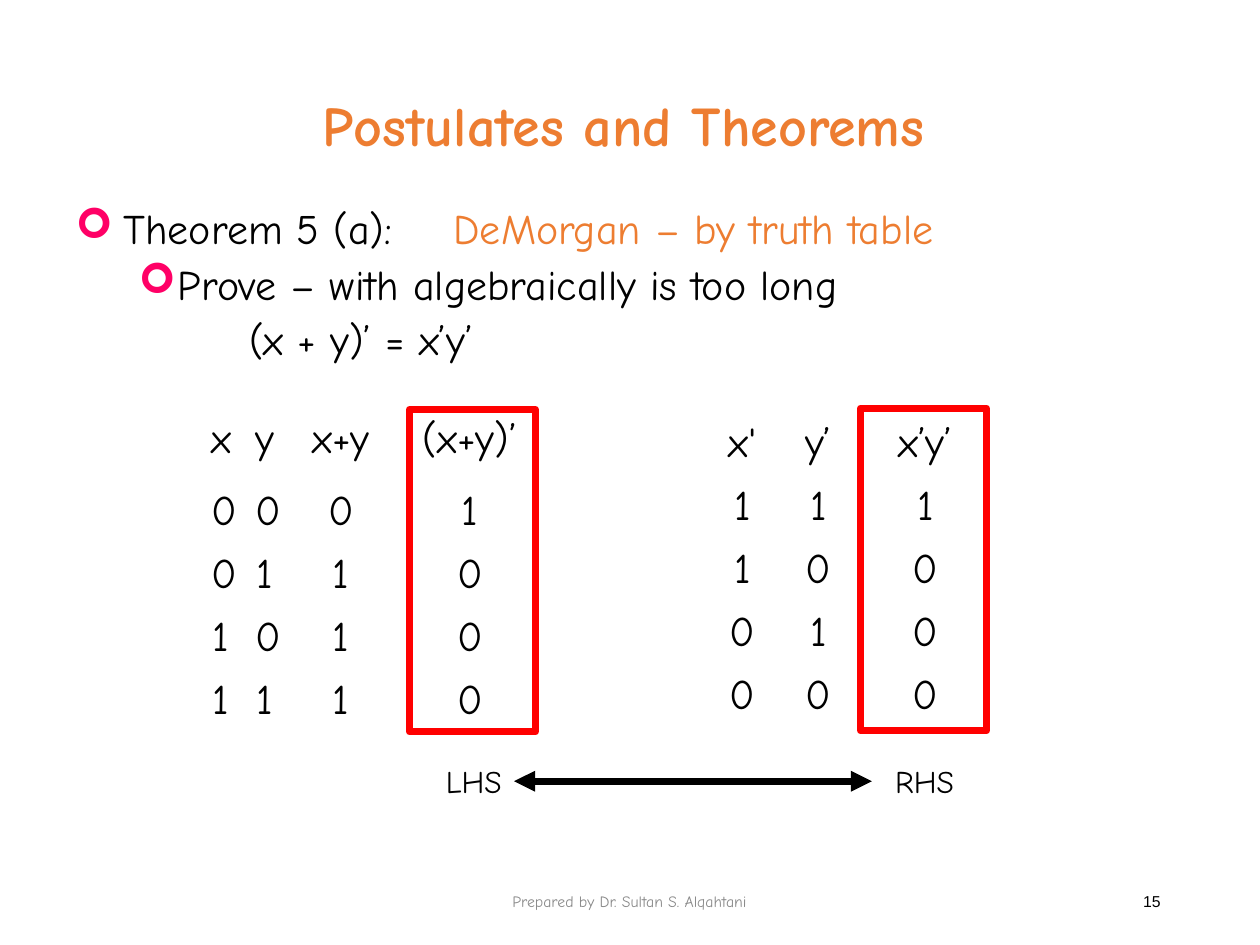
"""Build the truth-table proof slide for DeMorgan's theorem."""
from dataclasses import dataclass

from lxml.etree import SubElement as Sub
from pptx import Presentation as Deck
from pptx.dml.color import RGBColor as Rgb
from pptx.enum.shapes import MSO_CONNECTOR as Conn, MSO_SHAPE as Kind
from pptx.enum.text import MSO_ANCHOR as Anchor, MSO_AUTO_SIZE as Fit, PP_ALIGN as Align
from pptx.oxml.ns import qn
from pptx.util import Inches, Pt

FONT = "Comic Neue"
HUES = {"text": "000000", "accent": "ED7D31", "bullet": "FF0066",
        "frame": "FF0000", "foot": "898989"}


@dataclass
class Box:
    left: float
    top: float
    width: float
    height: float

    def dims(self) -> tuple:
        return tuple(Inches(n) for n in (self.left, self.top, self.width, self.height))


@dataclass
class Grid:
    left: float
    top: float
    cols: list[float]
    rows: list[float]
    cells: list[list[str]]


@dataclass
class Label:
    text: str
    box: Box
    size: int
    align: Align
    font: str = FONT
    hue: str = "text"


@dataclass
class Line:
    runs: list[tuple[str, str]]
    level: int
    left: float
    hang: float
    tab: int
    mark: str = ""


def style(para, size: int, hue: str = "text", font: str = FONT, bold: bool = False) -> None:
    para.font.size, para.font.name, para.font.bold = Pt(size), font, bold
    para.font.color.rgb = Rgb.from_string(HUES[hue])


def place(shape, box: Box) -> None:
    shape.left, shape.top, shape.width, shape.height = box.dims()


def add_label(slide, item: Label, anchor: Anchor = Anchor.TOP):
    shape = slide.shapes.add_textbox(*item.box.dims())
    frame = shape.text_frame
    frame.word_wrap, frame.vertical_anchor = True, anchor
    para = frame.paragraphs[0]
    para.text, para.alignment = item.text, item.align
    style(para, item.size, item.hue, item.font)
    return shape


def add_line(para, line: Line) -> None:
    para.level, para.line_spacing, para.space_before = line.level, 0.9, Pt(6)
    para.alignment = Align.LEFT
    props = para._p.get_or_add_pPr()
    props.set("marL", str(Inches(line.left)))
    props.set("indent", str(-Inches(line.hang)))
    if line.mark:
        hue = Sub(props, qn("a:buClr"))
        Sub(hue, qn("a:srgbClr"), val=HUES["bullet"])
        Sub(props, qn("a:buFont"), typeface="Wingdings")
        Sub(props, qn("a:buChar"), char=line.mark)
    else:
        Sub(props, qn("a:buNone"))
    tabs = Sub(props, qn("a:tabLst"))
    for n in range(line.tab, line.tab + 8):
        Sub(tabs, qn("a:tab"), pos=str(Inches(n)), algn="l")
    style(para, 24)
    for text, hue in line.runs:
        run = para.add_run()
        run.text = text
        run.font.color.rgb = Rgb.from_string(HUES[hue])


def add_grid(slide, grid: Grid) -> None:
    box = Box(grid.left, grid.top, sum(grid.cols), sum(grid.rows))
    table = slide.shapes.add_table(len(grid.rows), len(grid.cols), *box.dims()).table
    table.first_row = table.horz_banding = False
    for col, width in zip(table.columns, grid.cols):
        col.width = Inches(width)
    for row, height, texts in zip(table.rows, grid.rows, grid.cells):
        row.height = Inches(height)
        for cell, text in zip(row.cells, texts):
            cell.fill.background()
            para = cell.text_frame.paragraphs[0]
            para.text, para.alignment = text, Align.CENTER
            style(para, 24)


def add_frame(slide, box: Box) -> None:
    shape = slide.shapes.add_shape(Kind.RECTANGLE, *box.dims())
    shape.shadow.inherit = False
    shape.fill.background()
    shape.line.color.rgb = Rgb.from_string(HUES["frame"])
    shape.line.width = Pt(4)


def add_arrow(slide, start, end) -> None:
    arrow = slide.shapes.add_connector(Conn.STRAIGHT, 0, 0, 0, 0)
    arrow.begin_connect(start, 3)
    arrow.end_connect(end, 1)
    arrow.line.color.rgb = Rgb.from_string(HUES["text"])
    arrow.line.width = Pt(4)
    edge = arrow.line._get_or_add_ln()
    for tip in ("a:headEnd", "a:tailEnd"):
        Sub(edge, qn(tip), type="triangle")
    Sub(arrow._element.spPr, qn("a:effectLst"))


LINES = [
    Line([("Theorem 5 (a):\t", "text"), ("DeMorgan – by truth table", "accent")],
         0, 0.38, 0.38, 1, "➢"),
    Line([("Prove – with algebraically is too long", "text")], 1, 0.81, 0.31, 1, "➢"),
    Line([("\t\t\t(x + y)’ = x’y’", "text")], 0, 0.38, 0.38, 0),
]
BITS = [(x, y) for x in (0, 1) for y in (0, 1)]
LEFT = [["x", "y", "x+y", "(x+y)’"]] + [
    [str(n) for n in (x, y, x | y, 1 - (x | y))] for x, y in BITS]
RIGHT = [["x'", "y’", "x’y’", ""]] + [
    [str(n) for n in (1 - x, 1 - y, (1 - x) & (1 - y))] + [""] for x, y in BITS]
GRIDS = [
    Grid(1.58, 3.25, [0.35, 0.35, 0.85, 1.2], [0.57] + [0.5] * 4, LEFT),
    Grid(5.58, 3.28, [0.63, 0.57, 1.13, 1.59], [0.5] * 5, RIGHT),
]
FRAMES = [Box(3.25, 3.25, 1, 2.56), Box(6.83, 3.24, 1, 2.56)]
FEET = [
    Label("15", Box(7.06, 6.95, 2.25, 0.4), 9, Align.RIGHT, "Arial"),
    Label("Prepared by Dr. Sultan S. Alqahtani", Box(3.31, 6.95, 3.37, 0.4), 9,
          Align.CENTER, hue="foot"),
]
SIDES = [Label(text, Box(left, 6, 0.75, 0.4), 18, Align.RIGHT)
         for text, left in (("LHS", 3.33), ("RHS", 6.92))]


def main() -> None:
    deck = Deck()
    deck.slide_width, deck.slide_height = Inches(10), Inches(7.5)
    slide = deck.slides.add_slide(deck.slide_layouts[1])

    title, body = slide.placeholders
    place(title, Box(2.45, 0.67, 5, 0.64))
    frame = title.text_frame
    frame.text = "Postulates and Theorems"
    frame.word_wrap, frame.vertical_anchor = False, Anchor.TOP
    frame.auto_size = Fit.NONE
    frame.paragraphs[0].alignment = Align.CENTER
    style(frame.paragraphs[0], 32, "accent", bold=True)

    place(body, Box(0.5, 1.6, 9, 5.23))
    frame = body.text_frame
    frame.auto_size = Fit.NONE
    for n, line in enumerate(LINES):
        add_line(frame.add_paragraph() if n else frame.paragraphs[0], line)

    for foot in FEET:
        add_label(slide, foot, Anchor.MIDDLE)
    for grid in GRIDS:
        add_grid(slide, grid)
    for box in FRAMES:
        add_frame(slide, box)
    add_arrow(slide, *[add_label(slide, side) for side in SIDES])
    deck.save("out.pptx")


if __name__ == "__main__":
    main()
